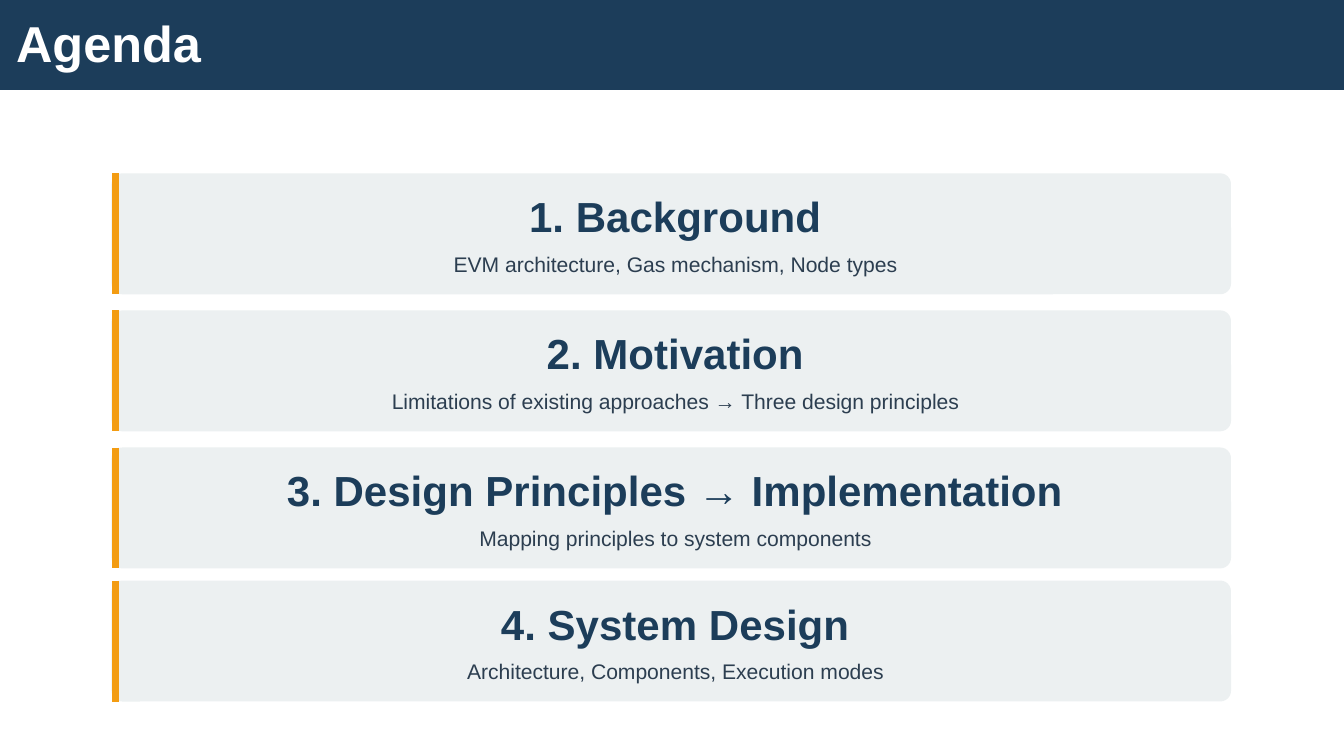
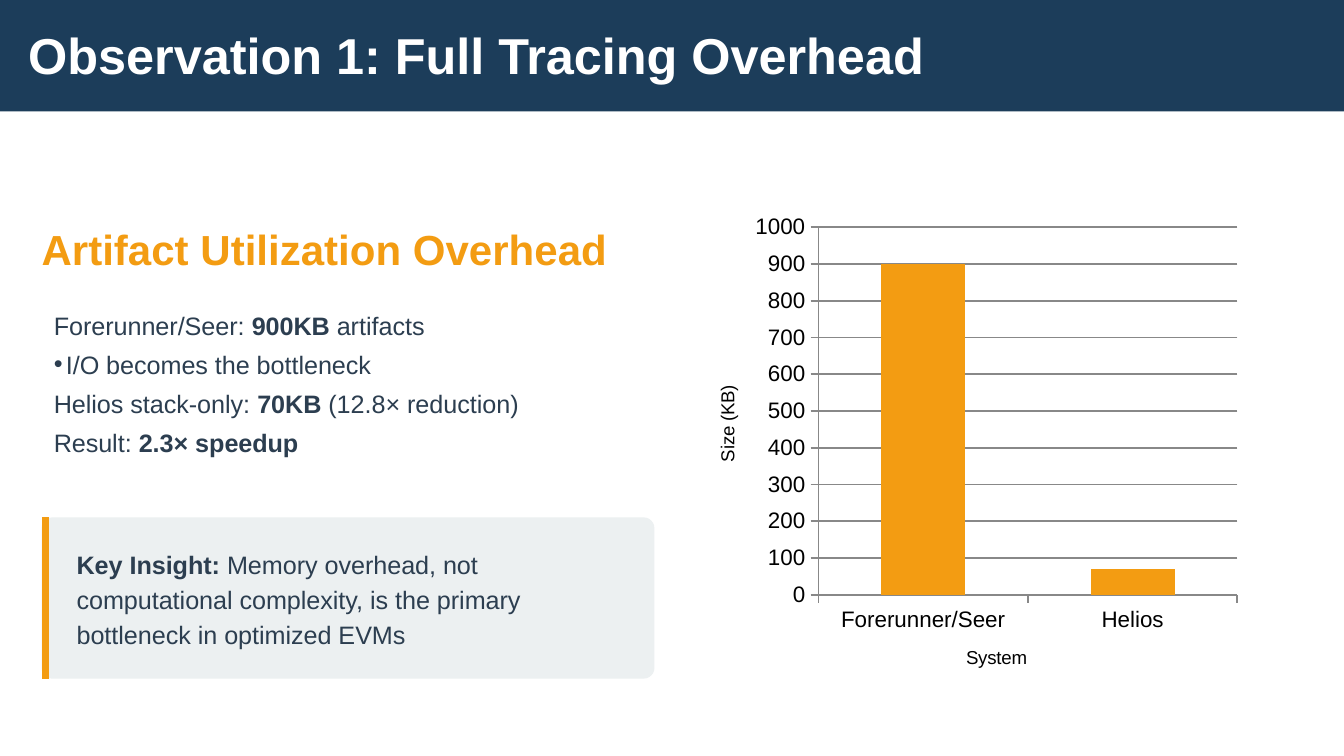
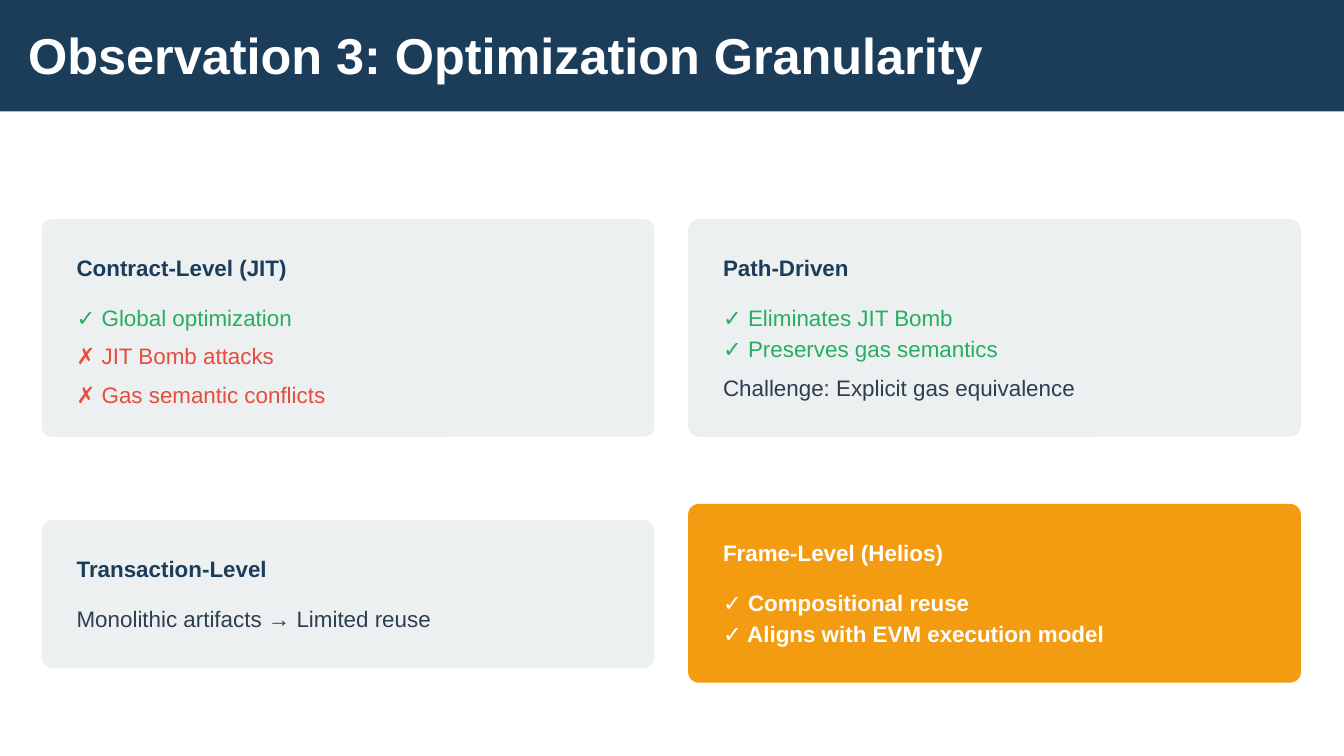
from lxml import etree
from pptx import Presentation
from pptx.chart.data import CategoryChartData
from pptx.dml.color import RGBColor
from pptx.enum import chart as ch, shapes, text
from pptx.oxml.ns import qn
from pptx.util import Inches, Pt

NAVY = RGBColor(0x1C, 0x3D, 0x5A)
ORANGE = RGBColor(0xF3, 0x9C, 0x12)
PALE = RGBColor(0xEC, 0xF0, 0xF1)
INK = RGBColor(0x2C, 0x3E, 0x50)
GREEN = RGBColor(0x27, 0xAE, 0x60)
RED = RGBColor(0xE7, 0x4C, 0x3C)
GREY = RGBColor(0x88, 0x88, 0x88)
WHITE = RGBColor(0xFF, 0xFF, 0xFF)
BLACK = RGBColor(0, 0, 0)

FONT = "Arial"
SLIDE_WIDTH = 10
CORNER = 0.08
LEFT_COLUMN, RIGHT_COLUMN, COLUMN_WIDTH = 0.31, 5.12, 4.56
LINE_PITCH = 16.8
BULLET = "• "


def style_font(font, size, color, bold=False):
    font.name = FONT
    font.size = Pt(size)
    font.bold = bold
    font.color.rgb = color


def set_bullet(paragraph, char):
    """Give the paragraph a hanging bullet, or none when char is empty."""
    indent = Inches(0.09) if char else 0
    props = paragraph._p.get_or_add_pPr()
    props.set("marL", str(indent))
    props.set("indent", str(-indent))
    if char:
        etree.SubElement(props, qn("a:buChar"), char=char)
    else:
        etree.SubElement(props, qn("a:buNone"))


def write(shape, lines, size, color, pitch=None, bold=False, gap=0,
          align=text.PP_ALIGN.LEFT, inset=0):
    """Fill the shape with lines; parts between asterisks are bold."""
    frame = shape.text_frame
    frame.word_wrap = True
    frame.auto_size = text.MSO_AUTO_SIZE.NONE
    frame.vertical_anchor = text.MSO_ANCHOR.TOP
    frame.margin_left = Inches(inset)
    frame.margin_top = frame.margin_right = frame.margin_bottom = 0
    for i, line in enumerate(lines):
        paragraph = frame.add_paragraph() if i else frame.paragraphs[0]
        bulleted = line.startswith(BULLET)
        set_bullet(paragraph, BULLET.strip() if bulleted else "")
        paragraph.alignment = align
        paragraph.space_before = Pt(gap if i else 0)
        if pitch:
            paragraph.line_spacing = Pt(pitch)
        style_font(paragraph.font, size, color, bold)
        for j, part in enumerate(line.removeprefix(BULLET).split("*")):
            if part:
                run = paragraph.add_run()
                run.text = part
                if j % 2:
                    run.font.bold = True


def place(shape, left, top, width, height):
    shape.left, shape.top = Inches(left), Inches(top)
    shape.width, shape.height = Inches(width), Inches(height)


def add_text(slide, left, top, width, height, lines, size, color, **options):
    box = slide.shapes.add_textbox(
        Inches(left), Inches(top), Inches(width), Inches(height))
    write(box, lines, size, color, **options)


def add_block(slide, kind, left, top, width, height, color):
    block = slide.shapes.add_shape(
        kind, Inches(left), Inches(top), Inches(width), Inches(height))
    block.shadow.inherit = False
    block.fill.solid()
    block.fill.fore_color.rgb = color
    block.line.fill.background()
    return block


def add_card(slide, left, top, width, height, color=PALE, accent=False):
    """Rounded panel, optionally with an orange bar down its left edge."""
    card = add_block(slide, shapes.MSO_SHAPE.ROUNDED_RECTANGLE,
                     left, top, width, height, color)
    card.adjustments[0] = CORNER / height
    if accent:
        x = Inches(left + 0.03)
        bar = slide.shapes.add_connector(
            shapes.MSO_CONNECTOR.STRAIGHT, x, Inches(top), x, Inches(top + height))
        bar.line.color.rgb = ORANGE
        bar.line.width = Pt(3.75)
        etree.SubElement(bar.element.spPr, qn("a:effectLst"))


def add_titled_slide(prs, layout, title, title_width, band_height=0.83, margin=0.21):
    slide = prs.slides.add_slide(prs.slide_layouts[layout])
    band = add_block(slide, shapes.MSO_SHAPE.RECTANGLE,
                     0, 0, SLIDE_WIDTH, band_height, NAVY)
    heading = slide.shapes.title
    heading.element.addprevious(band.element)
    place(heading, margin, margin, title_width, 0.42)
    write(heading, [title], 27, WHITE, pitch=30, bold=True)
    return slide


def add_agenda_item(slide, top, heading, summary):
    add_card(slide, 0.83, top, 8.33, 0.9, accent=True)
    center = text.PP_ALIGN.CENTER
    add_text(slide, 0.93, top + 0.13, 8.19, 0.38, [heading], 22.5, NAVY,
             pitch=27, bold=True, align=center)
    add_text(slide, 0.93, top + 0.55, 8.19, 0.22, [summary], 11.25, INK,
             pitch=15.8, align=center)


def style_axis(axis, title):
    axis.has_title = True
    axis.axis_title.text_frame.text = title
    style_font(axis.axis_title.text_frame.paragraphs[0].font, 10, BLACK)
    style_font(axis.tick_labels.font, 12, BLACK)
    axis.major_tick_mark = ch.XL_TICK_MARK.OUTSIDE
    axis.minor_tick_mark = ch.XL_TICK_MARK.NONE
    axis.format.line.color.rgb = GREY
    axis.format.line.width = Pt(1)


def add_size_chart(slide):
    data = CategoryChartData()
    data.categories = ["Forerunner/Seer", "Helios"]
    data.add_series("Series 1", [900, 70])
    chart = slide.shapes.add_chart(
        ch.XL_CHART_TYPE.COLUMN_CLUSTERED, Inches(5.12), Inches(1.53),
        Inches(4.17), Inches(3.65), data).chart
    chart.has_legend = False
    chart.has_title = False
    chart.font.name = "Calibri"
    chart.font.size = Pt(10)
    chart.font.color.rgb = BLACK

    style_axis(chart.category_axis, "System")
    chart.category_axis.tick_label_position = ch.XL_TICK_LABEL_POSITION.LOW
    sizes = chart.value_axis
    style_axis(sizes, "Size (KB)")
    sizes.minimum_scale, sizes.maximum_scale, sizes.major_unit = 0, 1000, 100
    sizes.major_gridlines.format.line.color.rgb = GREY
    sizes.major_gridlines.format.line.width = Pt(1)

    plot = chart.plots[0]
    plot.vary_by_categories = False
    plot.gap_width = 150
    bars = plot.series[0].format.fill
    bars.solid()
    bars.fore_color.rgb = ORANGE


def add_level_card(slide, left, top, height, heading, groups, highlight=False):
    """Card with a heading and groups of (lines, color, gap between lines)."""
    add_card(slide, left, top, COLUMN_WIDTH, height, ORANGE if highlight else PALE)
    text_left, text_width = left + 0.26, 4.12
    add_text(slide, text_left, top + 0.26, text_width, 0.19, [heading], 12,
             WHITE if highlight else NAVY, bold=True)
    y = top + 0.6
    for lines, color, gap in groups:
        group_height = len(lines) * LINE_PITCH / 72
        add_text(slide, text_left, y, text_width, group_height, lines, 12, color,
                 pitch=LINE_PITCH, gap=gap, bold=highlight)
        y += group_height + 0.05


def build_agenda(prs):
    slide = add_titled_slide(prs, 5, "Agenda", 4.98, band_height=0.67, margin=0.12)
    for top, heading, summary in (
        (1.29, "1. Background", "EVM architecture, Gas mechanism, Node types"),
        (2.31, "2. Motivation",
         "Limitations of existing approaches → Three design principles"),
        (3.33, "3. Design Principles → Implementation",
         "Mapping principles to system components"),
        (4.32, "4. System Design", "Architecture, Components, Execution modes"),
    ):
        add_agenda_item(slide, top, heading, summary)


def build_tracing_overhead(prs):
    slide = add_titled_slide(prs, 1, "Observation 1: Full Tracing Overhead", 6.81)
    add_text(slide, LEFT_COLUMN, 1.66, 4.65, 0.38,
             ["Artifact Utilization Overhead"], 22.5, ORANGE, pitch=27, bold=True)
    findings = slide.placeholders[1]
    place(findings, LEFT_COLUMN, 2.24, COLUMN_WIDTH, 1.29)
    write(findings, [
        "Forerunner/Seer: *900KB* artifacts",
        BULLET + "I/O becomes the bottleneck",
        "Helios stack-only: *70KB* (12.8× reduction)",
        "Result: *2.3× speedup*",
    ], 13.5, INK, pitch=21, inset=0.09)
    add_card(slide, LEFT_COLUMN, 3.85, COLUMN_WIDTH, 1.2, accent=True)
    add_text(slide, 0.57, 4.05, 4.18, 0.79,
             ["*Key Insight:* Memory overhead, not computational complexity, "
              "is the primary bottleneck in optimized EVMs"],
             13.5, INK, pitch=18.9)
    add_size_chart(slide)


def build_granularity(prs):
    slide = add_titled_slide(prs, 5, "Observation 3: Optimization Granularity", 7.26)
    add_level_card(slide, LEFT_COLUMN, 1.63, 1.62, "Contract-Level (JIT)", [
        (["✓ Global optimization"], GREEN, 0),
        (["✗ JIT Bomb attacks", "✗ Gas semantic conflicts"], RED, 3.8),
    ])
    add_level_card(slide, RIGHT_COLUMN, 1.63, 1.62, "Path-Driven", [
        (["✓ Eliminates JIT Bomb", "✓ Preserves gas semantics"], GREEN, 0),
        (["Challenge: Explicit gas equivalence"], INK, 0),
    ])
    add_level_card(slide, LEFT_COLUMN, 3.87, 1.1, "Transaction-Level", [
        (["Monolithic artifacts → Limited reuse"], INK, 0),
    ])
    add_level_card(slide, RIGHT_COLUMN, 3.75, 1.33, "Frame-Level (Helios)", [
        (["✓ Compositional reuse", "✓ Aligns with EVM execution model"], WHITE, 0),
    ], highlight=True)


def main():
    prs = Presentation()
    prs.slide_width = Inches(SLIDE_WIDTH)
    prs.slide_height = Inches(SLIDE_WIDTH * 9 / 16)
    build_agenda(prs)
    build_tracing_overhead(prs)
    build_granularity(prs)
    prs.save("out.pptx")


if __name__ == "__main__":
    main()
